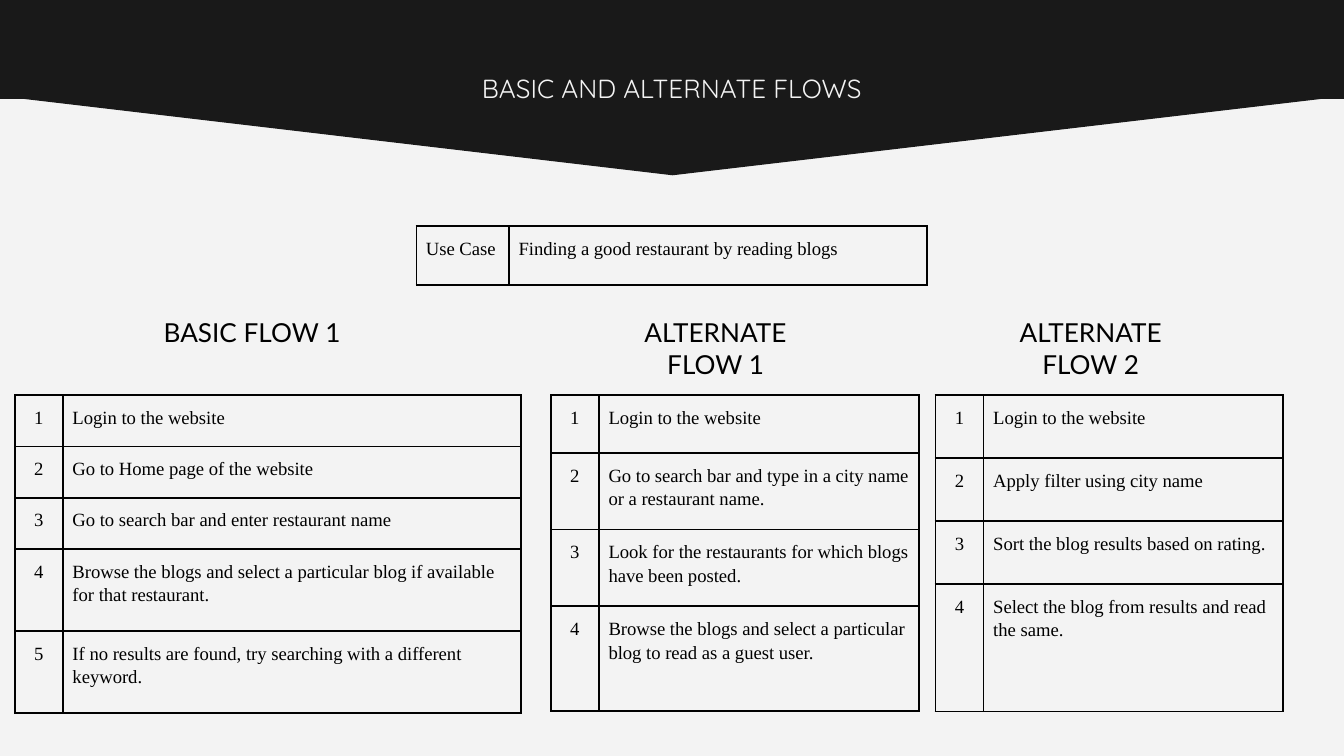
from lxml.etree import SubElement
from pptx import Presentation
from pptx.dml.color import RGBColor
from pptx.enum.shapes import MSO_SHAPE
from pptx.enum.text import PP_ALIGN
from pptx.oxml.ns import qn
from pptx.util import Cm, Pt

PAPER = RGBColor(0xF3, 0xF3, 0xF3)
DARK = RGBColor(0x19, 0x19, 0x19)
BLACK = RGBColor(0, 0, 0)

TITLE = "BASIC AND ALTERNATE FLOWS"
USE_CASE = [("Use Case", "Finding a good restaurant by reading blogs")]
# Lengths in cm
FLOWS = [
    {
        "heading": "BASIC FLOW 1", "heading_left": 2.44,
        "left": 0.28, "step_width": 8.66,
        "heights": [0.97, 0.97, 0.97, 1.55, 1.55],
        "steps": [
            "Login to the website",
            "Go to Home page of the website",
            "Go to search bar and enter restaurant name",
            "Browse the blogs and select a particular blog if available for that restaurant.",
            "If no results are found, try searching with a different keyword.",
        ],
    },
    {
        "heading": "ALTERNATE FLOW 1", "heading_left": 11.2,
        "left": 10.41, "step_width": 6.05,
        "heights": [1.09, 1.45, 1.45, 1.98],
        "steps": [
            "Login to the website",
            "Go to search bar and type in a city name or a restaurant name.",
            "Look for the restaurants for which blogs have been posted.",
            "Browse the blogs and select a particular blog to read as a guest user.",
        ],
    },
    {
        "heading": "ALTERNATE FLOW 2", "heading_left": 17.68 + 0.61,
        "left": 17.68, "step_width": 5.66,
        "heights": [1.19, 1.19, 1.19, 2.41],
        "steps": [
            "Login to the website",
            "Apply filter using city name",
            "Sort the blog results based on rating.",
            "Select the blog from results and read the same.",
        ],
    },
]
NUMBER_WIDTH = 0.91
HEADING_TOP, FLOW_TOP, USE_CASE_TOP = 5.74, 7.47, 4.27
CELL_MARGIN, BOX_MARGIN = 0.18, 0.25


def write(frame, text, font="Times New Roman", size=10, color=BLACK,
          align=PP_ALIGN.LEFT, spacing=None):
    frame.word_wrap = True
    paragraph = frame.paragraphs[0]
    paragraph.alignment = align
    if spacing:
        paragraph.line_spacing = spacing
    run = paragraph.add_run()
    run.text = text
    run.font.name = font
    run.font.size = Pt(size)
    run.font.color.rgb = color


def add_label(slide, text, left, top, width, height, **text_format):
    box = slide.shapes.add_textbox(Cm(left), Cm(top), Cm(width), Cm(height))
    frame = box.text_frame
    frame.margin_left = frame.margin_right = Cm(BOX_MARGIN)
    frame.margin_top = frame.margin_bottom = Cm(BOX_MARGIN)
    write(frame, text, size=14, align=PP_ALIGN.CENTER, **text_format)


def add_banner_part(slide, preset, top, height):
    part = slide.shapes.add_shape(preset, Cm(-0.03), Cm(top), Cm(25.48), Cm(height))
    part.shadow.inherit = False
    part.fill.solid()
    part.fill.fore_color.rgb = DARK
    part.line.color.rgb = DARK
    part.line.width = Pt(0.75)
    return part


def outline(cell):
    """Draw a black 1 pt border on all four sides of a cell."""
    properties = cell._tc.get_or_add_tcPr()
    for side in ("a:lnL", "a:lnR", "a:lnT", "a:lnB"):
        border = SubElement(properties, qn(side), w=str(Pt(1)))
        fill = SubElement(border, qn("a:solidFill"))
        SubElement(fill, qn("a:srgbClr"), val=str(BLACK))


def add_grid(slide, rows, left, top, widths, heights, first_align):
    table = slide.shapes.add_table(
        len(rows), len(widths), Cm(left), Cm(top),
        Cm(sum(widths)), Cm(sum(heights))).table
    table.first_row = table.horz_banding = False
    for column, width in zip(table.columns, widths):
        column.width = Cm(width)
    for r, (row, height) in enumerate(zip(rows, heights)):
        table.rows[r].height = Cm(height)
        for c, (text, align) in enumerate(zip(row, (first_align, PP_ALIGN.LEFT))):
            cell = table.cell(r, c)
            cell.margin_left = cell.margin_right = Cm(CELL_MARGIN)
            cell.margin_top = cell.margin_bottom = Cm(CELL_MARGIN)
            outline(cell)
            cell.fill.background()
            write(cell.text_frame, text, align=align, spacing=1.15)


def main():
    deck = Presentation()
    deck.slide_width, deck.slide_height = Cm(25.4), Cm(14.29)
    slide = deck.slides.add_slide(deck.slide_layouts[6])
    slide.background.fill.solid()
    slide.background.fill.fore_color.rgb = PAPER

    point = add_banner_part(slide, MSO_SHAPE.ISOSCELES_TRIANGLE, 1.8, 1.5)
    point.rotation = 180
    add_banner_part(slide, MSO_SHAPE.RECTANGLE, -0.53, 2.39)
    add_label(slide, TITLE, 8.56, 1.12, 8.28, 1.37, font="Quicksand", color=PAPER)

    add_grid(slide, USE_CASE, 7.87, USE_CASE_TOP, [1.75, 7.9], [1.12], PP_ALIGN.LEFT)
    for flow in FLOWS:
        add_label(slide, flow["heading"], flow["heading_left"], HEADING_TOP,
                  4.65, 1.12, font="Lato")
        numbered = [(str(n), step) for n, step in enumerate(flow["steps"], 1)]
        add_grid(slide, numbered, flow["left"], FLOW_TOP,
                 [NUMBER_WIDTH, flow["step_width"]], flow["heights"], PP_ALIGN.CENTER)

    deck.save("out.pptx")


if __name__ == "__main__":
    main()
